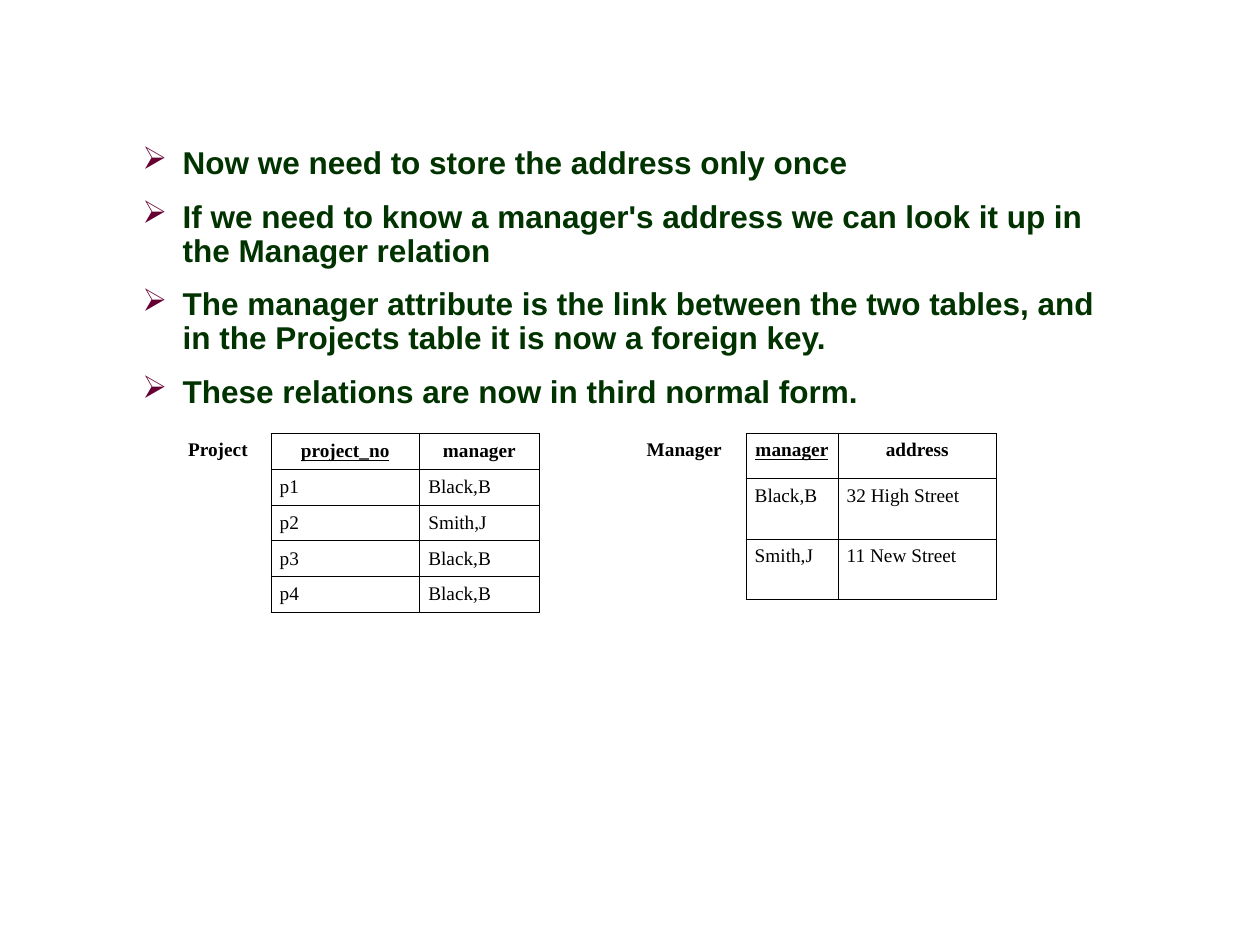
import lxml.etree
import pptx
import pptx.dml.color
import pptx.enum.text
import pptx.oxml.ns
import pptx.util

Inches, Pt = pptx.util.Inches, pptx.util.Pt
PP_ALIGN = pptx.enum.text.PP_ALIGN
ANCHOR = pptx.enum.text.MSO_ANCHOR
qn = pptx.oxml.ns.qn

COLORS = {"text": "003300", "bullet": "660033", "table": "000000"}
POINTS = [
    "Now we need to store the address only once",
    "If we need to know a manager's address we can look it up in the Manager relation",
    "The manager attribute is the link between the two tables, and in the Projects "
    "table it is now a foreign key.",
    "These relations are now in third normal form.",
]
PROJECTS = [
    ["project_no", "manager"],
    ["p1", "Black,B"],
    ["p2", "Smith,J"],
    ["p3", "Black,B"],
    ["p4", "Black,B"],
]
MANAGERS = [
    ["manager", "address"],
    ["Black,B", "32 High Street"],
    ["Smith,J", "11 New Street"],
]


def add_run(p, text, font, size, color, bold=False, underline=False):
    """Add one formatted run to a paragraph."""
    r = p.add_run()
    r.text = text
    r.font.name, r.font.size = font, Pt(size)
    r.font.bold, r.font.underline = bold, underline
    r.font.color.rgb = pptx.dml.color.RGBColor.from_string(COLORS[color])


def set_hanging(p, indent):
    """Give a paragraph a hanging indent and return its properties."""
    pPr = p._p.get_or_add_pPr()
    pPr.set("marL", str(Inches(indent)))
    pPr.set("indent", str(-Inches(indent)))
    return pPr


def add_bullets(slide, points):
    """Add the bulleted text."""
    sp = slide.shapes.add_textbox(Inches(1.06), Inches(1.13), Inches(7.75), Inches(4))
    tf = sp.text_frame
    tf.word_wrap = True
    tf.margin_left = tf.margin_right = Inches(0.07)
    tf.margin_top = tf.margin_bottom = Inches(0.04)
    for i, text in enumerate(points):
        p = tf.add_paragraph() if i else tf.paragraphs[0]
        p.line_spacing, p.space_before = 0.9, Pt(11.2)
        pPr = set_hanging(p, 0.32)
        clr = lxml.etree.SubElement(pPr, qn("a:buClr"))
        lxml.etree.SubElement(clr, qn("a:srgbClr"), val=COLORS["bullet"])
        lxml.etree.SubElement(pPr, qn("a:buChar"), char="\u27a2")
        add_run(p, text, "Arial", 18, "text", bold=True)


def set_borders(cell, sides):
    """Draw the named sides of a cell (L, R, T, B) and clear the others."""
    tcPr = cell._tc.get_or_add_tcPr()
    for i, side in enumerate("LRTB"):
        ln = lxml.etree.Element(qn("a:ln" + side), w=str(Pt(0.45)))
        if side in sides:
            fill = lxml.etree.SubElement(ln, qn("a:solidFill"))
            lxml.etree.SubElement(fill, qn("a:srgbClr"), val=COLORS["table"])
        else:
            lxml.etree.SubElement(ln, qn("a:noFill"))
        tcPr.insert(i, ln)


def fill_cell(cell, text, anchor, heading=False, key=False):
    """Write a cell; headings are bold and centred, keys underlined."""
    cell.margin_left = cell.margin_right = Inches(0.07)
    cell.margin_top = cell.margin_bottom = Inches(0.05)
    cell.vertical_anchor = anchor
    p = cell.text_frame.paragraphs[0]
    p.alignment = PP_ALIGN.CENTER if heading else PP_ALIGN.LEFT
    set_hanging(p, 0.38)
    add_run(p, text, "Times New Roman", 11, "table", heading, key)


def add_relation(slide, name, data, left, widths, heights, anchor, merge=False):
    """Add a relation as a table, with its name in an open first column."""
    frame = slide.shapes.add_table(len(data), len(widths), Inches(left), Inches(3.44),
                                   Inches(sum(widths)), Inches(sum(heights)))
    table = frame.table
    table.first_row = table.horz_banding = False
    for column, width in zip(table.columns, widths):
        column.width = Inches(width)
    for row, height in zip(table.rows, heights):
        row.height = Inches(height)
    if merge:
        table.cell(0, 0).merge(table.cell(len(data) - 1, 0))
    fill_cell(table.cell(0, 0), name, ANCHOR.TOP, heading=True)
    for i, values in enumerate(data):
        for j, text in enumerate(values, 1):
            fill_cell(table.cell(i, j), text, anchor, i == 0, i == 0 and j == 1)
        for j in range(len(widths)):
            cell = table.cell(i, j)
            cell.fill.background()
            set_borders(cell, "LRTB" if j else "R")


def main():
    """Build and save the slide."""
    prs = pptx.Presentation()
    prs.slide_width, prs.slide_height = Inches(10), Inches(7.5)
    slide = prs.slides.add_slide(prs.slide_layouts[6])
    add_bullets(slide, POINTS)
    add_relation(slide, "Project", PROJECTS, 1.31, [0.84, 1.18, 0.95],
                 [0.26, 0.26, 0.27, 0.26, 0.27], ANCHOR.MIDDLE, merge=True)
    add_relation(slide, "Manager", MANAGERS, 4.94, [0.98, 0.73, 1.26],
                 [0.36, 0.48, 0.48], ANCHOR.TOP)
    prs.save("out.pptx")


main()
